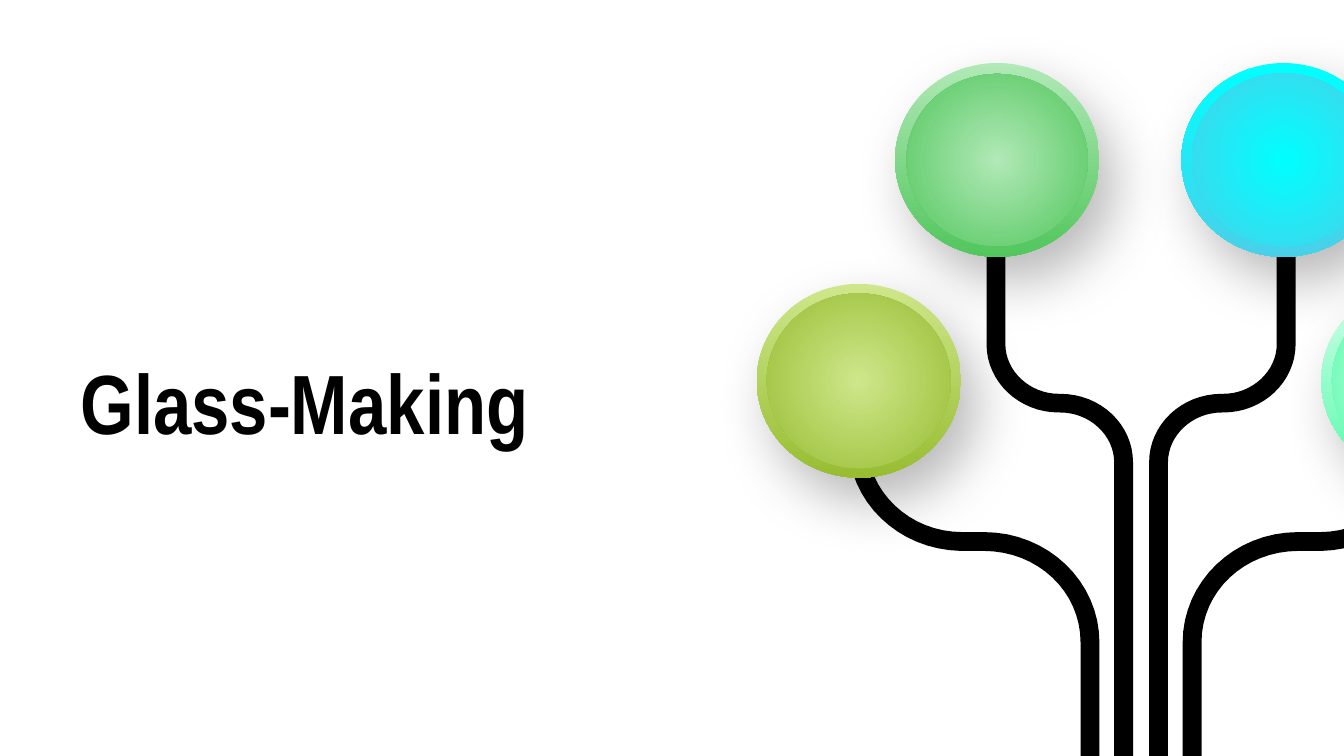
from lxml import etree
from pptx import Presentation
from pptx.dml.color import RGBColor
from pptx.enum.shapes import MSO_SHAPE
from pptx.enum.text import MSO_ANCHOR
from pptx.oxml import parse_xml
from pptx.oxml.ns import nsdecls, qn
from pptx.util import Pt

TITLE = "Glass-Making"
BLACK = RGBColor(0x00, 0x00, 0x00)
LIME = RGBColor(0xCE, 0xE7, 0x8C), RGBColor(0x98, 0xBD, 0x32)
MINT = RGBColor(0xD5, 0xFF, 0xEB), RGBColor(0x57, 0xFA, 0xAC)
GREEN = RGBColor(0xB1, 0xE9, 0xB7), RGBColor(0x52, 0xC6, 0x5D)
CYAN = RGBColor(0x00, 0xFF, 0xFF), RGBColor(0x49, 0xD0, 0xE9)

SLIDE_W, SLIDE_H = 720, 405
MIRROR_SUM = 1222.6
CURVE_STEPS = 16
RIM = 109.4, 103.8
DOWNWARD = 270

OUTER_STEM = [
    (464.4, 217.4),
    (464.4, 236.2),
    (464.4, 263.5, 487.4, 285.1, 515.5, 285.1),
    (527, 285.1),
    (561.6, 285.1, 589, 311.8, 589, 344.2),
    (589, SLIDE_H),
    (578.9, SLIDE_H),
    (578.9, 344.2),
    (578.9, 316.8, 555.8, 295.2, 527, 295.2),
    (514.8, 295.2),
    (481, 294.5, 454.3, 268.6, 454.3, 236.2),
    (454.3, 217.4),
]
INNER_STEM = [
    (538.6, 104.4),
    (538.6, 184.3),
    (538.6, 198.7, 551.5, 211, 567.4, 211),
    (568.1, 211),
    (589.7, 211, 607, 227.5, 607, 247.7),
    (607, SLIDE_H),
    (596.9, SLIDE_H),
    (596.9, 247.7),
    (596.9, 233.3, 583.9, 221, 568.1, 221),
    (567.4, 221),
    (545.8, 221, 528.5, 204.5, 528.5, 184.3),
    (528.5, 104.4),
]
BRANCHES = [
    (OUTER_STEM, False, (460.1, 204), (98.6, 93.6), LIME),
    (OUTER_STEM, True, (762.5, 204), (97.9, 92.9), MINT),
    (INNER_STEM, False, (534.2, 85.7), (97.2, 92.2), GREEN),
    (INNER_STEM, True, (687.6, 85.7), (97.9, 92.9), CYAN),
]

SHADOW = (
    f'<a:outerShdw {nsdecls("a")} blurRad="{Pt(30.4)}" dist="{Pt(15)}" '
    f'dir="{58 * 60000}" algn="tl" rotWithShape="0">'
    '<a:srgbClr val="000000"><a:alpha val="28000"/></a:srgbClr></a:outerShdw>'
)
RADIAL = (
    f'<a:path {nsdecls("a")} path="circle">'
    '<a:fillToRect l="50000" t="50000" r="50000" b="50000"/></a:path>'
)


def outline_points(outline):
    points = [outline[0]]
    for segment in outline[1:]:
        if len(segment) == 2:
            points.append(segment)
            continue
        start, first, second, end = points[-1], segment[:2], segment[2:4], segment[4:]
        for step in range(1, CURVE_STEPS + 1):
            t = step / CURVE_STEPS
            u = 1 - t
            points.append(tuple(
                u**3 * a + 3 * u * u * t * b + 3 * u * t * t * c + t**3 * d
                for a, b, c, d in zip(start, first, second, end)
            ))
    return points


def add_stem(shapes, outline, mirrored):
    points = [(Pt(MIRROR_SUM - x if mirrored else x), Pt(y))
              for x, y in outline_points(outline)]
    builder = shapes.build_freeform(*points[0], scale=1.0)
    builder.add_line_segments(points[1:], close=True)
    stem = builder.convert_to_shape()
    stem.shadow.inherit = False
    stem.fill.solid()
    stem.fill.fore_color.rgb = BLACK
    stem.line.fill.background()


def add_disc(shapes, center, size, colors):
    (x, y), (width, height) = center, size
    disc = shapes.add_shape(MSO_SHAPE.OVAL, Pt(x - width / 2), Pt(y - height / 2),
                            Pt(width), Pt(height))
    disc.fill.gradient()
    disc.fill.gradient_angle = DOWNWARD
    for stop, color in zip(disc.fill.gradient_stops, colors):
        stop.color.rgb = color
    disc.line.fill.background()
    disc.shadow.inherit = False
    return disc.element.spPr


def add_orb(shapes, center, core_size, colors):
    rim = add_disc(shapes, center, RIM, colors)
    rim.find(qn("a:effectLst")).append(parse_xml(SHADOW))
    core = add_disc(shapes, center, core_size, colors)
    gradient = core.find(qn("a:gradFill"))
    gradient.replace(gradient.find(qn("a:lin")), etree.fromstring(RADIAL))


def add_title(shapes):
    frame = shapes.add_textbox(Pt(36), Pt(128.2), Pt(308.9), Pt(121)).text_frame
    frame_format = {"word_wrap": True, "vertical_anchor": MSO_ANCHOR.BOTTOM}
    for side in ("left", "top", "right", "bottom"):
        frame_format[f"margin_{side}"] = Pt(7.2)
    for key, value in frame_format.items():
        setattr(frame, key, value)
    title = frame.paragraphs[0].add_run()
    title.text = TITLE
    for key, value in {"name": "Arial Narrow", "size": Pt(45), "bold": True}.items():
        setattr(title.font, key, value)
    title.font.color.rgb = BLACK


def main():
    deck = Presentation()
    deck.slide_width, deck.slide_height = Pt(SLIDE_W), Pt(SLIDE_H)
    shapes = deck.slides.add_slide(deck.slide_layouts[6]).shapes
    add_title(shapes)
    for outline, mirrored, center, core_size, colors in BRANCHES:
        add_stem(shapes, outline, mirrored)
        add_orb(shapes, center, core_size, colors)
    deck.save("out.pptx")


if __name__ == "__main__":
    main()
